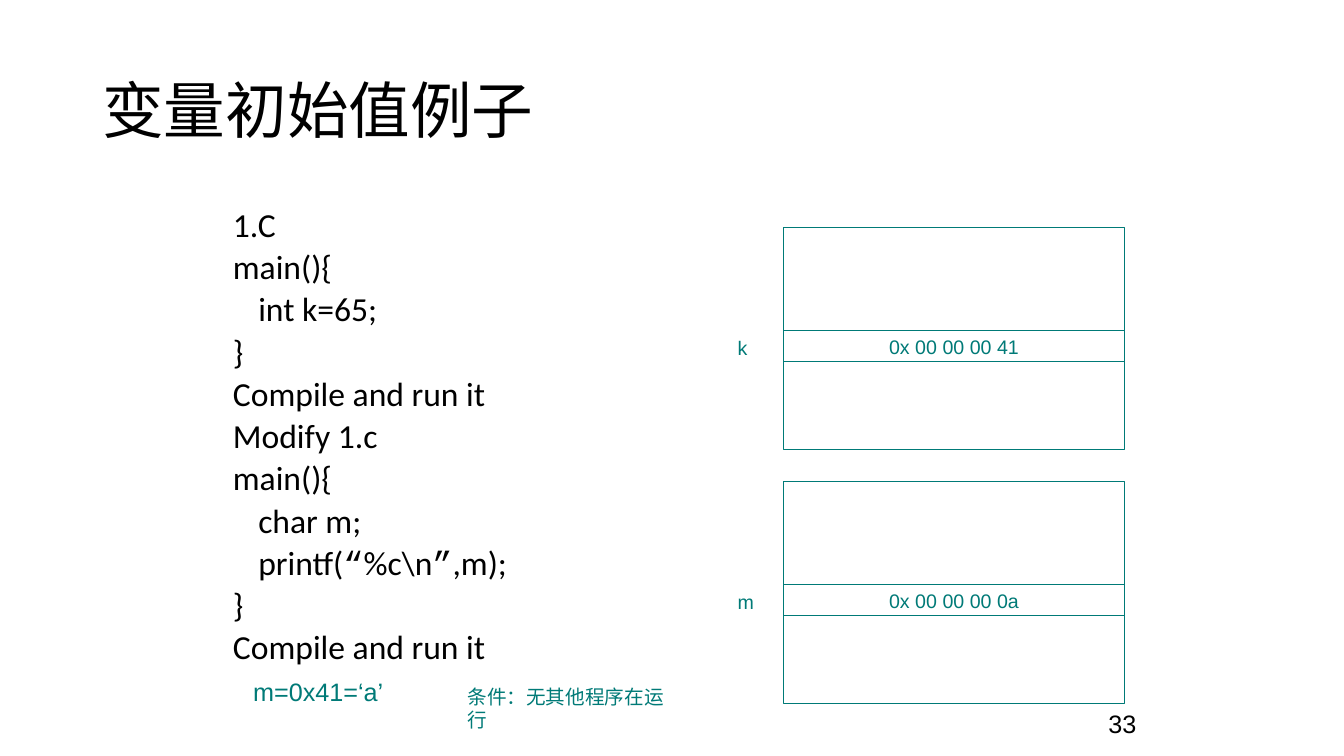
import itertools

import pptx
import pptx.dml.color
import pptx.enum.shapes
import pptx.enum.text
import pptx.util
from pptx.util import Cm

TEAL, BLACK = "007A77", "000000"
QUOTES = "“”"
TITLE = "变量初始值例子"
CODE = [
    "1.C",
    "main(){",
    "\tint k=65;",
    "}",
    "Compile and run it",
    "Modify 1.c",
    "main(){",
    "\tchar m;",
    "\tprintf(“%c\\n”,m);",
    "}",
    "Compile and run it",
]
# variable, stored value, top of the memory block in cm
MEMORY = [("k", "0x 00 00 00 41", 5.73), ("m", "0x 00 00 00 0a", 12.13)]
MEMORY_LEFT, MEMORY_WIDTH, MEMORY_HEIGHT = 19.74, 8.61, 5.59
CELL_OFFSET, CELL_HEIGHT = 2.6, 0.79
LABEL_LEFT = 18.34

ALIGN = pptx.enum.text.PP_ALIGN
ANCHOR = pptx.enum.text.MSO_ANCHOR


def rgb(color):
    return pptx.dml.color.RGBColor.from_string(color)


def style(p, size, color, font="Arial"):
    for r in p.runs:
        r.font.size = pptx.util.Pt(size)
        r.font.name = font
        r.font.color.rgb = rgb(color)


def add_text(s, box, text, size, color=TEAL, font="Arial", wrap=False):
    tf = s.shapes.add_textbox(*map(Cm, box)).text_frame
    tf.word_wrap = wrap
    tf.text = text
    style(tf.paragraphs[0], size, color, font)
    return tf


def add_box(s, top, height):
    """Add an outlined rectangle in the memory column."""
    sp = s.shapes.add_shape(pptx.enum.shapes.MSO_SHAPE.RECTANGLE,
                            Cm(MEMORY_LEFT), Cm(top), Cm(MEMORY_WIDTH), Cm(height))
    sp.shadow.inherit = False
    sp.fill.background()
    sp.line.color.rgb = rgb(TEAL)
    sp.line.width = pptx.util.Pt(0.75)
    return sp


def add_code(s):
    tf = s.shapes.add_textbox(Cm(5.62), Cm(5.29), Cm(12.12), Cm(12.24)).text_frame
    tf.word_wrap = True
    for i, line in enumerate(CODE):
        p = tf.paragraphs[0] if i == 0 else tf.add_paragraph()
        p.line_spacing = 0.7
        p.space_before = pptx.util.Pt(10)
        pPr = p._p.get_or_add_pPr()
        pPr.set("marL", str(Cm(0.64)))
        pPr.set("indent", str(Cm(-0.64)))
        for _, part in itertools.groupby(line, lambda c: c in QUOTES):
            p.add_run().text = "".join(part)
        style(p, 24, BLACK, "Calibri")
        for r in p.runs:
            if r.text in QUOTES:
                r.font.name = "Courier New"


def add_memory(s, name, value, top):
    """Add a memory block with one named cell inside it."""
    add_box(s, top, MEMORY_HEIGHT)
    cell_top = top + CELL_OFFSET
    tf = add_box(s, cell_top, CELL_HEIGHT).text_frame
    tf.word_wrap = False
    tf.vertical_anchor = ANCHOR.MIDDLE
    tf.text = value
    tf.paragraphs[0].alignment = ALIGN.CENTER
    style(tf.paragraphs[0], 14, TEAL)
    add_text(s, (LABEL_LEFT, cell_top, 1.0, 0.84), name, 14)


def main():
    prs = pptx.Presentation()
    prs.slide_width, prs.slide_height = Cm(33.87), Cm(19.05)
    s = prs.slides.add_slide(prs.slide_layouts[6])

    tf = add_text(s, (22.54, 17.73, 6.35, 1.32), "33", 18, BLACK, wrap=True)
    tf.paragraphs[0].alignment = ALIGN.RIGHT
    tf = add_text(s, (2.33, 1.01, 29.21, 3.68), TITLE, 44, BLACK, "Calibri", True)
    tf.vertical_anchor = ANCHOR.MIDDLE
    tf.paragraphs[0].line_spacing = 0.9

    add_code(s)
    for name, value, top in MEMORY:
        add_memory(s, name, value, top)
    add_text(s, (6.13, 16.92, 4.4, 1.02), "m=0x41=‘a’", 18)
    add_text(s, (11.53, 17.13, 5.84, 0.84), "条件：无其他程序在运行", 14, wrap=True)
    prs.save("out.pptx")


if __name__ == "__main__":
    main()
